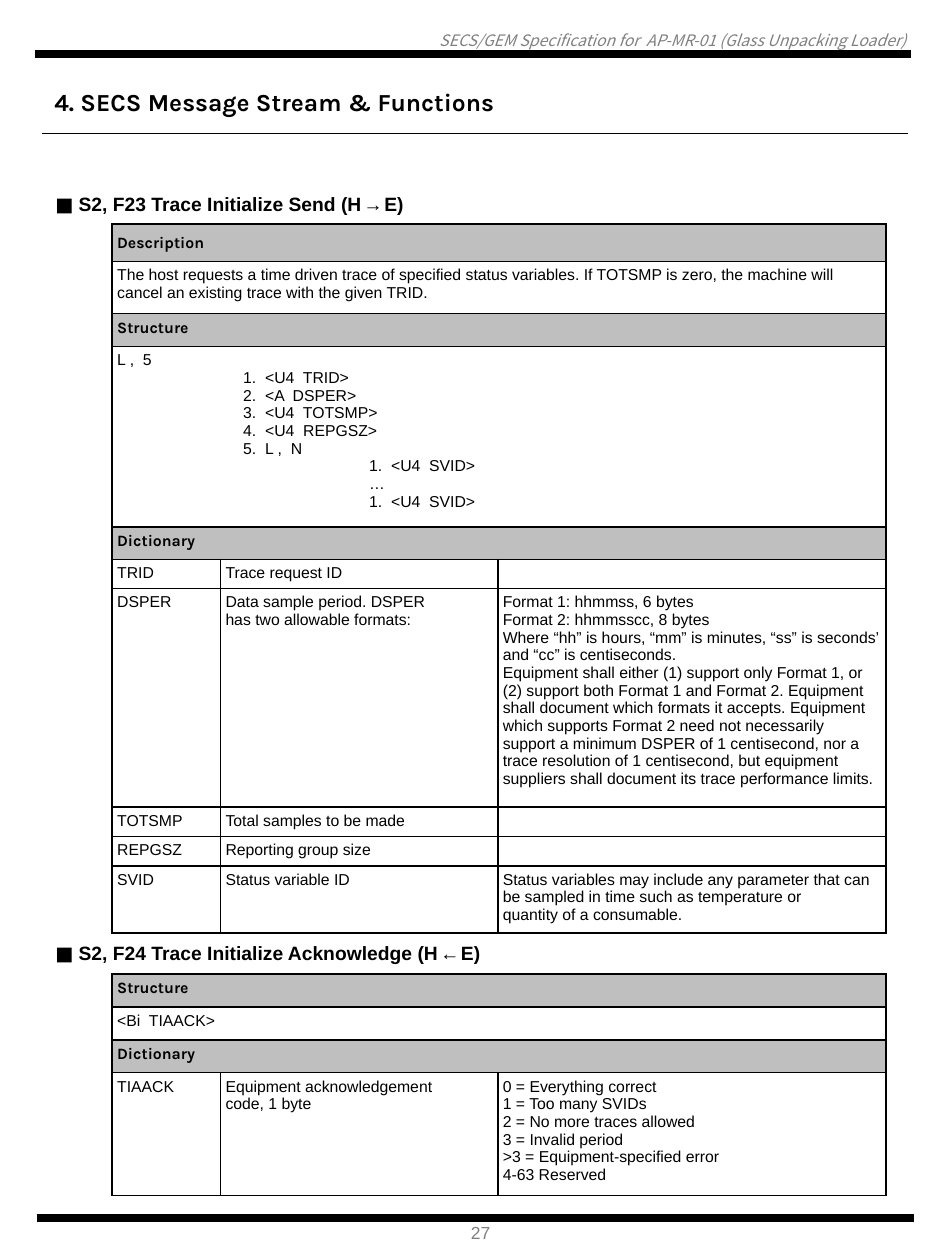
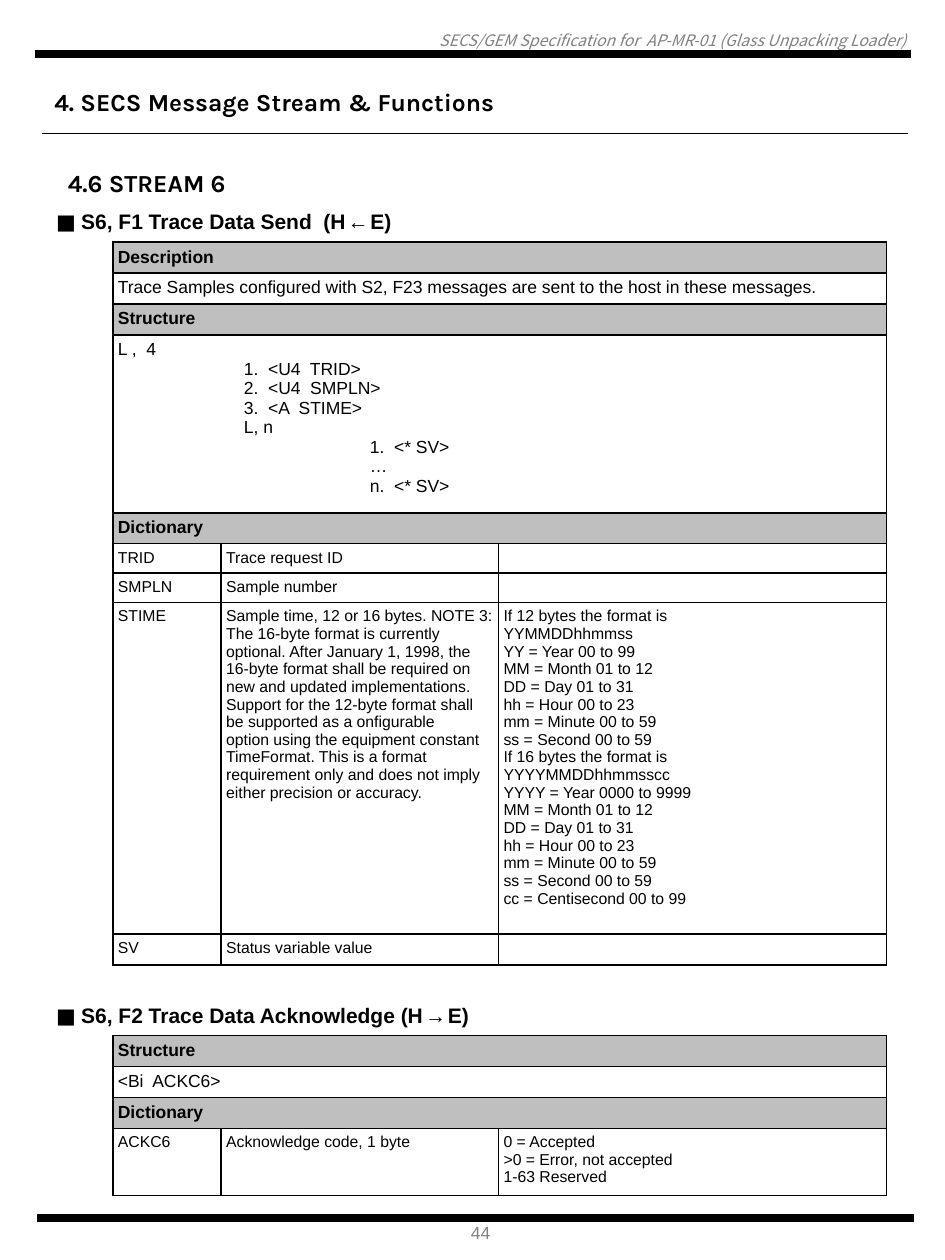
from dataclasses import dataclass

from lxml import etree
from pptx import Presentation
from pptx.dml.color import RGBColor
from pptx.enum.shapes import MSO_CONNECTOR
from pptx.enum.text import MSO_ANCHOR, MSO_AUTO_SIZE, PP_ALIGN
from pptx.oxml.ns import qn
from pptx.util import Pt

STRAIGHT = MSO_CONNECTOR.STRAIGHT
TOP, MIDDLE = MSO_ANCHOR.TOP, MSO_ANCHOR.MIDDLE
LEFT, RIGHT = PP_ALIGN.LEFT, PP_ALIGN.RIGHT
NO_AUTOSIZE = MSO_AUTO_SIZE.NONE

BLACK = RGBColor(0x00, 0x00, 0x00)
GRAY = RGBColor(0x80, 0x80, 0x80)
BAND = RGBColor(0xBF, 0xBF, 0xBF)

ARIAL, KARLA, COURIER = "Arial", "Karla", "Courier New"
HEADER_FONT = "Noto Sans CJK KR"

NO_STYLE = "{2D5ABB26-0587-4C30-8999-92F81FD0307C}"
COLUMNS = (35.3, 61.9, 158.5, 221.8)
HEADING_HEIGHT = 21.5
CELL_INSET = 2.9
INDENT = 72
ENTRY_SIZE = 9

CHAPTER = "4. SECS Message Stream & Functions"
HEADER = "SECS/GEM Specification for  AP-MR-01 (Glass Unpacking Loader)"


@dataclass(frozen=True)
class Style:
    heading_size: float
    body_size: float
    section_font: str


@dataclass(frozen=True)
class Section:
    """Gray band across the table."""
    title: str
    height: float
    anchor: MSO_ANCHOR = TOP


@dataclass(frozen=True)
class Wide:
    """Text across the table; levels gives the indent of each line."""
    lines: tuple[str, ...]
    height: float
    levels: tuple[int, ...] = (0,)


@dataclass(frozen=True)
class Entry:
    """Dictionary row: name, meaning lines, detail lines."""
    name: str
    height: float
    meaning: tuple[str, ...]
    detail: tuple[str, ...] = ()


@dataclass(frozen=True)
class Message:
    title: str
    arrow: str
    left: float
    top: float
    style: Style
    rows: tuple[Section | Wide | Entry, ...]


@dataclass(frozen=True)
class Page:
    number: str
    messages: tuple[Message, ...]
    subtitle: str = ""


COMPACT = Style(11, 9, KARLA)
LARGE = Style(12, 10, ARIAL)

PAGES = (
    Page("27", (
        Message("S2, F24 Trace Initialize Acknowledge", "←", 28.8, 535, COMPACT, (
            Section("Structure", 18.9),
            Wide(("<Bi  TIAACK>",), 18.8),
            Section("Dictionary", 18.8),
            Entry("TIAACK", 70.3, ("Equipment acknowledgement", "code, 1 byte"), (
                "0 = Everything correct",
                "1 = Too many SVIDs",
                "2 = No more traces allowed",
                "3 = Invalid period",
                ">3 = Equipment-specified error",
                "4-63 Reserved",
            )),
        )),
        Message("S2, F23 Trace Initialize Send", "→", 28.8, 106.5, COMPACT, (
            Section("Description", 21.5, MIDDLE),
            Wide(("The host requests a time driven trace of specified status variables. "
                  "If TOTSMP is zero, the machine will cancel an existing trace with "
                  "the given TRID.",), 29.7),
            Section("Structure", 18.9),
            Wide((
                "L ,  5",
                "1.  <U4  TRID>",
                "2.  <A  DSPER>",
                "3.  <U4  TOTSMP>",
                "4.  <U4  REPGSZ>",
                "5.  L ,  N",
                "1.  <U4  SVID>",
                "…",
                "1.  <U4  SVID>",
            ), 103, (0, 1, 1, 1, 1, 1, 2, 2, 2)),
            Section("Dictionary", 18.6),
            Entry("TRID", 16.5, ("Trace request ID",)),
            Entry("DSPER", 124.9,
                  ("Data sample period. DSPER", "has two allowable formats:"), (
                      "Format 1: hhmmss, 6 bytes",
                      "Format 2: hhmmsscc, 8 bytes",
                      "Where “hh” is hours, “mm” is minutes, “ss” is seconds’ "
                      "and “cc” is centiseconds.",
                      "Equipment shall either (1) support only Format 1, or (2) support "
                      "both Format 1 and Format 2. Equipment shall document which formats "
                      "it accepts. Equipment which supports Format 2 need not necessarily "
                      "support a minimum DSPER of 1 centisecond, nor a trace resolution of "
                      "1 centisecond, but equipment suppliers shall document its trace "
                      "performance limits.",
                  )),
            Entry("TOTSMP", 16.5, ("Total samples to be made",)),
            Entry("REPGSZ", 16.3, ("Reporting group size",)),
            Entry("SVID", 38.3, ("Status variable ID",), (
                "Status variables may include any parameter that can be sampled in time "
                "such as temperature or",
                "quantity of a consumable.",
            )),
        )),
    )),
    Page("44", (
        Message("S6, F1 Trace Data Send ", "←", 29.2, 116.7, LARGE, (
            Section("Description", 17.8, MIDDLE),
            Wide(("Trace Samples configured with S2, F23 messages are sent to the host "
                  "in these messages.",), 17.7),
            Section("Structure", 17.7),
            Wide((
                "L ,  4",
                "1.  <U4  TRID>",
                "2.  <U4  SMPLN>",
                "3.  <A  STIME>",
                "L, n",
                "1.  <* SV>",
                "…",
                "n.  <* SV>",
            ), 101.7, (0, 1, 1, 1, 1, 2, 2, 2)),
            Section("Dictionary", 17.7),
            Entry("TRID", 16.5, ("Trace request ID",)),
            Entry("SMPLN", 16.5, ("Sample number",)),
            Entry("STIME", 189.5, (
                "Sample time, 12 or 16 bytes. NOTE 3: The 16-byte format is currently "
                "optional. After January 1, 1998, the 16-byte format shall be required on "
                "new and updated implementations. Support for the 12-byte format shall be "
                "supported as a onfigurable",
                "option using the equipment constant TimeFormat. This is a format "
                "requirement only and does not imply either precision or accuracy.",
            ), (
                "If 12 bytes the format is",
                "YYMMDDhhmmss",
                "YY = Year 00 to 99",
                "MM = Month 01 to 12",
                "DD = Day 01 to 31",
                "hh = Hour 00 to 23",
                "mm = Minute 00 to 59",
                "ss = Second 00 to 59",
                "If 16 bytes the format is",
                "YYYYMMDDhhmmsscc",
                "YYYY = Year 0000 to 9999",
                "MM = Month 01 to 12",
                "DD = Day 01 to 31",
                "hh = Hour 00 to 23",
                "mm = Minute 00 to 59",
                "ss = Second 00 to 59",
                "cc = Centisecond 00 to 99",
            )),
            Entry("SV", 17.7, ("Status variable value",)),
        )),
        Message("S6, F2 Trace Data Acknowledge", "→", 29.2, 570.2, LARGE, (
            Section("Structure", 17.7),
            Wide(("<Bi  ACKC6>",), 17.7),
            Section("Dictionary", 17.7),
            Entry("ACKC6", 38.3, ("Acknowledge code, 1 byte",),
                  ("0 = Accepted", ">0 = Error, not accepted", "1-63 Reserved")),
        )),
    ), "4.6 STREAM 6"),
)


def set_font(p, name: str, size: float, color=BLACK, bold=False, italic=False) -> None:
    font = p.font
    font.name, font.size, font.bold, font.italic = name, Pt(size), bold, italic
    font.color.rgb = color


def fill_text(sp, text: str, box: tuple, font: tuple, inset=None, align=LEFT) -> None:
    """Place a text shape and write its one line."""
    sp.left, sp.top, sp.width, sp.height = map(Pt, box)
    tf = sp.text_frame
    tf.word_wrap, tf.auto_size, tf.vertical_anchor = True, NO_AUTOSIZE, TOP
    if inset is not None:
        tf.margin_left = tf.margin_right = tf.margin_top = tf.margin_bottom = Pt(inset)
    p = tf.paragraphs[0]
    p.text, p.alignment = text, align
    set_font(p, *font)


def add_text(slide, text: str, box: tuple, font: tuple, **options) -> None:
    fill_text(slide.shapes.add_textbox(0, 0, 0, 0), text, box, font, **options)


def add_rule(slide, x1: float, x2: float, y: float, width: float) -> None:
    line = slide.shapes.add_connector(STRAIGHT, Pt(x1), Pt(y), Pt(x2), Pt(y))
    line.line.color.rgb, line.line.width = BLACK, Pt(width)
    etree.SubElement(line._element.spPr, qn("a:effectLst"))


def add_borders(cell) -> None:
    tc_pr = cell._tc.get_or_add_tcPr()
    for side in ("a:lnL", "a:lnR", "a:lnT", "a:lnB"):
        ln = etree.SubElement(tc_pr, qn(side), w=str(Pt(1)))
        fill = etree.SubElement(ln, qn("a:solidFill"))
        etree.SubElement(fill, qn("a:srgbClr"), val=str(BLACK))


def prepare_cell(cell) -> None:
    cell.margin_left = cell.margin_right = Pt(CELL_INSET)
    cell.margin_top = cell.margin_bottom = Pt(CELL_INSET)
    cell.fill.background()
    end = cell.text_frame.paragraphs[0]._p.get_or_add_endParaRPr()
    end.set("sz", str(ENTRY_SIZE * 100))


def write_lines(cell, lines: tuple, font: tuple, levels: tuple = ()) -> None:
    tf = cell.text_frame
    for i, line in enumerate(lines):
        p = tf.paragraphs[0] if i == 0 else tf.add_paragraph()
        p.text = line
        if levels and levels[i]:
            p._p.get_or_add_pPr().set("marL", str(Pt(INDENT * levels[i])))
        set_font(p, *font)


def write_heading(cell, message: Message) -> None:
    cell.vertical_anchor = MIDDLE
    p = cell.text_frame.paragraphs[0]
    set_font(p, ARIAL, message.style.heading_size, BLACK, True)
    for text, font in (("■ ", KARLA), (f"{message.title} (H ", ARIAL),
                       (message.arrow, COURIER), (" E)", ARIAL)):
        r = p.add_run()
        r.text, r.font.name = text, font


def write_row(cells: list, row: Section | Wide | Entry, style: Style) -> None:
    name, meaning, detail = cells
    for cell in cells:
        add_borders(cell)
    if isinstance(row, Entry):
        font = (ARIAL, ENTRY_SIZE)
        write_lines(name, (row.name,), font)
        write_lines(meaning, row.meaning, font)
        write_lines(detail, row.detail, font)
        return
    name.merge(detail)
    if isinstance(row, Section):
        name.fill.solid()
        name.fill.fore_color.rgb = BAND
        name.vertical_anchor = row.anchor
        write_lines(name, (row.title,), (style.section_font, style.body_size, BLACK, True))
    else:
        write_lines(name, row.lines, (ARIAL, style.body_size), row.levels)


def add_message(slide, message: Message) -> None:
    heights = [HEADING_HEIGHT, *(row.height for row in message.rows)]
    frame = slide.shapes.add_table(
        len(heights), len(COLUMNS), Pt(message.left), Pt(message.top),
        Pt(sum(COLUMNS)), Pt(sum(heights)))
    table = frame.table
    table.first_row = table.horz_banding = False
    table._tbl.find(".//" + qn("a:tableStyleId")).text = NO_STYLE
    for column, width in zip(table.columns, COLUMNS):
        column.width = Pt(width)
    for row, height in zip(table.rows, heights):
        row.height = Pt(height)
    for cell in table.iter_cells():
        prepare_cell(cell)
    table.cell(0, 0).merge(table.cell(0, 3))
    write_heading(table.cell(0, 0), message)
    for i, row in enumerate(message.rows, 1):
        write_row([table.cell(i, j) for j in (1, 2, 3)], row, message.style)


def add_page(prs, page: Page) -> None:
    slide = prs.slides.add_slide(prs.slide_layouts[5])
    add_text(slide, HEADER, (3.6, 17.3, 514, 10.8),
             (HEADER_FONT, 9, GRAY, False, True), inset=0, align=RIGHT)
    add_rule(slide, 20, 520.6, 31, 4.75)
    add_rule(slide, 21, 522, 696.2, 4.75)
    add_text(slide, page.number, (262, 694.8, 27, 19.4), (ARIAL, 10, GRAY))
    title_font = (KARLA, 14, BLACK, True)
    fill_text(slide.shapes.title, CHAPTER, (23.8, 46, 278, 24.5), title_font)
    add_rule(slide, 23.8, 519.1, 76.3, 0.75)
    if page.subtitle:
        add_text(slide, page.subtitle, (31.7, 92.2, 113, 24.5), title_font)
    for message in page.messages:
        add_message(slide, message)


def main() -> None:
    prs = Presentation()
    prs.slide_width, prs.slide_height = Pt(540), Pt(720)
    for page in PAGES:
        add_page(prs, page)
    prs.save("out.pptx")


if __name__ == "__main__":
    main()
